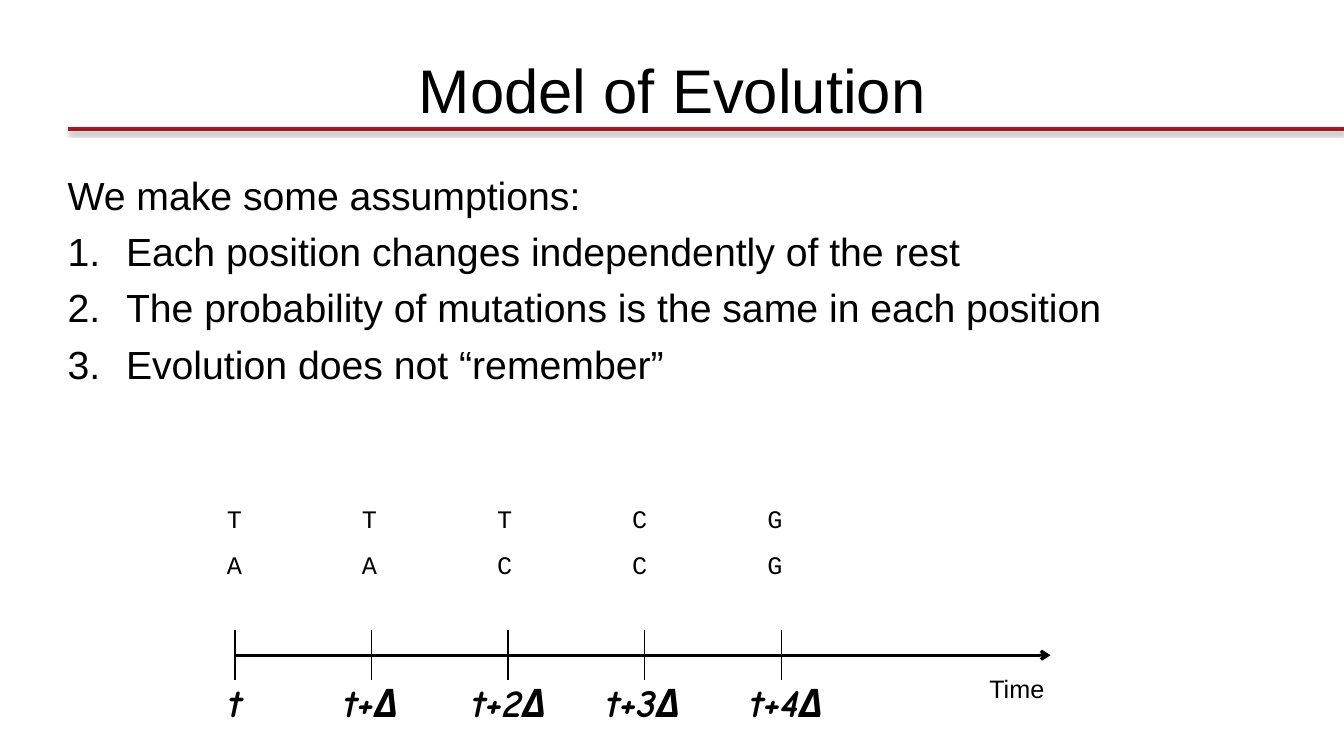
import pptx
import pptx.util
import pptx.dml.color
import pptx.enum.shapes
import pptx.enum.text
import pptx.oxml
import pptx.oxml.ns

Inches, Pt = pptx.util.Inches, pptx.util.Pt
PP_ALIGN = pptx.enum.text.PP_ALIGN
ANCHOR = pptx.enum.text.MSO_ANCHOR
AUTO_SIZE = pptx.enum.text.MSO_AUTO_SIZE

# Content
HEADING = "Model of Evolution"
INTRO = "We make some assumptions:"
ASSUMPTIONS = [
    "Each position changes independently of the rest",
    "The probability of mutations is the same in each position",
    "Evolution does not “remember”",
]
# time label, its centre, its width
MOMENTS = [
    ("t", 2.33, 0.39),
    ("t+Δ", 3.68, 0.86),
    ("t+2Δ", 5.05, 1.1),
    ("t+3Δ", 6.38, 1.1),
    ("t+4Δ", 7.8, 1.1),
]
# bases at each moment, top of the row
SEQUENCES = [("AACCG", 5.4), ("TTTCG", 4.94)]
AXIS_NAME = "Time"

# Layout, in inches
MARGIN, SLIDE_W, SLIDE_H = 0.67, 13.33, 7.5
AXIS_LEFT, AXIS_RIGHT, AXIS_Y = 2.33, 10.42, 6.5
TICK_STEP, TICK_HALF = 1.355, 0.25
BASE_LEFT, BASE_STEP, BASE_W = 2.15, 1.34, 0.35
BLACK, RED = "000000", "9D1924"


def rgb(value):
    return pptx.dml.color.RGBColor.from_string(value)


def drawing_xml(body):
    ns = pptx.oxml.ns.nsdecls("a")
    return pptx.oxml.parse_xml(body.replace(">", f" {ns}>", 1) if "/>" not in body.split(">")[0] + ">"
                               else body.replace("/>", f" {ns}/>", 1))


def style(paragraph, font, size, emphasis=False):
    for run in paragraph.runs:
        run.font.name = font
        run.font.size = Pt(size)
        run.font.color.rgb = rgb(BLACK)
        run.font.bold = run.font.italic = emphasis


def fit_placeholder(holder, top, height):
    holder.left, holder.top = Inches(MARGIN), Inches(top)
    holder.width, holder.height = Inches(12), Inches(height)
    frame = holder.text_frame
    frame.margin_left = frame.margin_right = frame.margin_top = frame.margin_bottom = 0
    frame.auto_size = AUTO_SIZE.NONE
    frame.word_wrap = True
    return frame


def add_line(shapes, x1, y1, x2, y2, color, width, effect="<a:effectLst/>"):
    line = shapes.add_connector(pptx.enum.shapes.MSO_CONNECTOR.STRAIGHT,
                                Inches(x1), Inches(y1), Inches(x2), Inches(y2))
    line.line.color.rgb = rgb(color)
    line.line.width = Pt(width)
    line._element.spPr.append(drawing_xml(effect))
    return line


def add_label(shapes, text, left, top, width, height, font, size, emphasis=False):
    label = shapes.add_textbox(Inches(left), Inches(top), Inches(width), Inches(height))
    frame = label.text_frame
    frame.text = text
    frame.word_wrap = False
    frame.auto_size = AUTO_SIZE.SHAPE_TO_FIT_TEXT
    frame.vertical_anchor = ANCHOR.MIDDLE
    frame.paragraphs[0].alignment = PP_ALIGN.CENTER
    style(frame.paragraphs[0], font, size, emphasis)


def main():
    deck = pptx.Presentation()
    deck.slide_width, deck.slide_height = Inches(SLIDE_W), Inches(SLIDE_H)
    slide = deck.slides.add_slide(deck.slide_layouts[1])
    shapes = slide.shapes

    # Title and the rule beneath it
    heading = fit_placeholder(shapes.title, 0.3, 1.25)
    heading.text = HEADING
    heading.vertical_anchor = ANCHOR.MIDDLE
    heading.paragraphs[0].alignment = PP_ALIGN.CENTER
    heading.paragraphs[0].line_spacing = 0.9
    style(heading.paragraphs[0], "Arial", 44)
    add_line(shapes, MARGIN, 1.28, SLIDE_W, 1.28, RED, 3,
             '<a:effectLst><a:outerShdw blurRad="39370" dist="20320" dir="5400000" rotWithShape="0">'
             '<a:srgbClr val="000000"><a:alpha val="38000"/></a:srgbClr>'
             '</a:outerShdw></a:effectLst>')

    # Numbered assumptions
    assumptions = fit_placeholder(slide.placeholders[1], 1.75, 4.35)
    assumptions.text = "\n".join([INTRO] + ASSUMPTIONS)
    assumptions.vertical_anchor = ANCHOR.TOP
    for number, paragraph in enumerate(assumptions.paragraphs):
        paragraph.alignment = PP_ALIGN.LEFT
        paragraph.line_spacing = 0.9
        paragraph.space_before = Pt(10)
        style(paragraph, "Arial", 28)
        properties = paragraph._p.get_or_add_pPr()
        properties.set("marL", str(Inches(0.58)))
        properties.set("indent", str(-Inches(0.58)))
        properties.append(drawing_xml('<a:buAutoNum type="arabicPeriod"/>' if number else "<a:buNone/>"))

    # Time axis with its ticks
    add_label(shapes, AXIS_NAME, 9.71, 6.63, 0.75, 0.4, "Arial", 18)
    timeline = shapes.add_group_shape().shapes
    axis = add_line(timeline, AXIS_LEFT, AXIS_Y, AXIS_RIGHT, AXIS_Y, BLACK, 2.25)
    axis.line._get_or_add_ln().append(drawing_xml('<a:tailEnd type="arrow"/>'))
    for step in range(len(MOMENTS)):
        x = AXIS_LEFT + step * TICK_STEP
        add_line(timeline, x, AXIS_Y - TICK_HALF, x, AXIS_Y + TICK_HALF, BLACK, 1)

    # Time labels
    for moment, center, width in MOMENTS:
        add_label(shapes, moment, center - width / 2, 6.68, width, 0.57, "Comic Neue", 28, True)

    # Bases over each moment
    for bases, top in SEQUENCES:
        row = shapes.add_group_shape().shapes
        for step, base in enumerate(bases):
            add_label(row, base, BASE_LEFT + step * BASE_STEP, top, BASE_W, 0.4, "Courier New", 18)

    deck.save("out.pptx")


if __name__ == "__main__":
    main()
